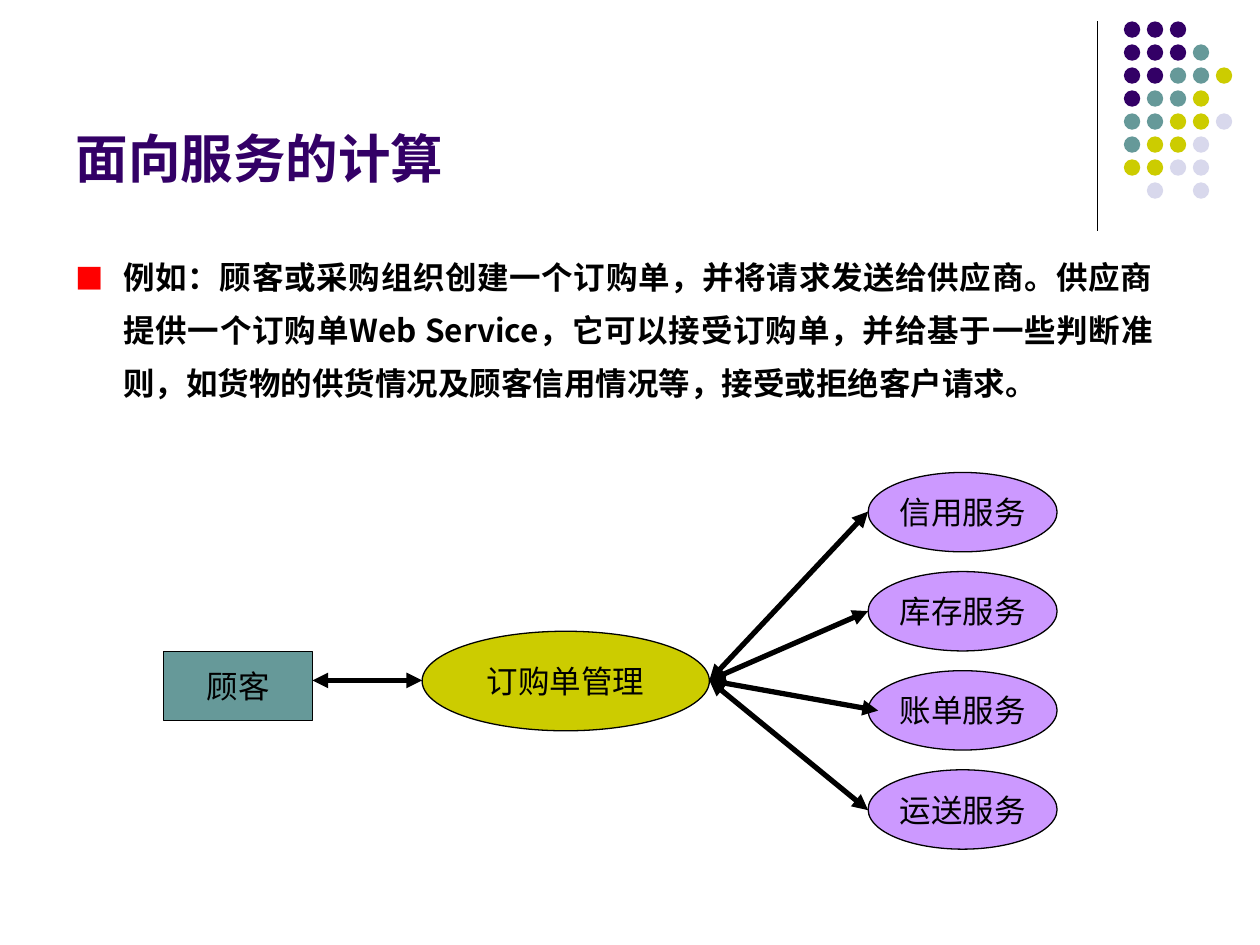
from lxml.etree import SubElement
from pptx import Presentation
from pptx.dml.color import RGBColor
from pptx.enum.shapes import MSO_CONNECTOR, MSO_SHAPE
from pptx.enum.text import MSO_ANCHOR, MSO_AUTO_SIZE, PP_ALIGN
from pptx.oxml.ns import qn
from pptx.util import Inches, Pt

COLORS = {
    "purple": "330066",
    "teal": "669999",
    "olive": "CCCC00",
    "pale": "D8D8EC",
    "lilac": "CC99FF",
    "red": "FF0000",
    "black": "000000",
}
CJK_FONT = "Noto Sans CJK SC"
DOT_COLORS = {"P": "purple", "T": "teal", "O": "olive", "L": "pale"}
DOT_ROWS = ["PPP", "PPPT", "PPTTO", "PTTO", "TTOOL", "TOOL", "OOLL", " L L"]
SERVICES = ["信用服务", "库存服务", "账单服务", "运送服务"]
BODY = (
    "例如：顾客或采购组织创建一个订购单，并将请求发送给供应商。"
    "供应商提供一个订购单Web Service，它可以接受订购单，"
    "并给基于一些判断准则，如货物的供货情况及顾客信用情况等，"
    "接受或拒绝客户请求。"
)


def rgb(name):
    return RGBColor.from_string(COLORS[name])


def write(tf, text, size=18, color="black", font="Arial", bold=False,
          align=PP_ALIGN.CENTER, anchor=MSO_ANCHOR.MIDDLE, wrap=False):
    """Fill a text frame with one formatted paragraph and return it."""
    tf.auto_size = MSO_AUTO_SIZE.NONE
    tf.word_wrap = wrap
    tf.vertical_anchor = anchor
    p = tf.paragraphs[0]
    p.alignment = align
    r = p.add_run()
    r.text = text
    r.font.name = font
    r.font.size = Pt(size)
    r.font.bold = bold
    r.font.color.rgb = rgb(color)
    SubElement(r.font._element, qn("a:ea"), typeface=CJK_FONT)
    return p


def add_bullet(p, char, color, percent, indent):
    pPr = p._p.get_or_add_pPr()
    pPr.set("marL", str(Inches(indent)))
    pPr.set("indent", str(-Inches(indent)))
    clr = SubElement(pPr, qn("a:buClr"))
    SubElement(clr, qn("a:srgbClr"), val=COLORS[color])
    SubElement(pPr, qn("a:buSzPct"), val=str(percent * 1000))
    SubElement(pPr, qn("a:buFont"), typeface=CJK_FONT)
    SubElement(pPr, qn("a:buChar"), char=char)


class SlideBuilder:
    def __init__(self, prs):
        self.s = prs.slides.add_slide(prs.slide_layouts[5])
        self.outline = Pt(0.75)
        self.arrow_width = Pt(3)

    def title(self, text, x, y, w, h):
        sp = self.s.shapes.title
        sp.left, sp.top, sp.width, sp.height = map(Inches, (x, y, w, h))
        write(sp.text_frame, text, size=30, color="purple", bold=True,
              align=PP_ALIGN.LEFT, anchor=MSO_ANCHOR.BOTTOM, wrap=True)

    def body(self, text, x, y, w, h):
        sp = self.s.shapes.add_textbox(*map(Inches, (x, y, w, h)))
        p = write(sp.text_frame, text, font=CJK_FONT, bold=True,
                  align=PP_ALIGN.JUSTIFY, anchor=MSO_ANCHOR.TOP, wrap=True)
        p.line_spacing = 1.4
        add_bullet(p, "■", "red", 90, 0.38)

    def shape(self, kind, x, y, w, h, fill, text=None, parent=None):
        """Add an outlined, labelled shape, or a plain one without text."""
        shapes = (parent or self.s).shapes
        sp = shapes.add_shape(kind, *map(Inches, (x, y, w, h)))
        sp.shadow.inherit = False
        sp.fill.solid()
        sp.fill.fore_color.rgb = rgb(fill)
        if text:
            sp.line.color.rgb = rgb("black")
            sp.line.width = self.outline
            write(sp.text_frame, text)
        else:
            sp.line.fill.background()

    def line(self, x1, y1, x2, y2, width=None):
        c = self.s.shapes.add_connector(
            MSO_CONNECTOR.STRAIGHT, *map(Inches, (x1, y1, x2, y2)))
        c.line.color.rgb = rgb("black")
        c.line.width = width or self.outline
        SubElement(c._element.spPr, qn("a:effectLst"))
        return c

    def double_arrow(self, x1, y1, x2, y2):
        c = self.line(x1, y1, x2, y2, self.arrow_width)
        ln = c.line._get_or_add_ln()
        for end in ("a:headEnd", "a:tailEnd"):
            SubElement(ln, qn(end), type="triangle")

    def dots(self, x, y, pitch, size):
        group = self.s.shapes.add_group_shape()
        for row, codes in enumerate(DOT_ROWS):
            for col, code in enumerate(codes):
                if code in DOT_COLORS:
                    self.shape(MSO_SHAPE.OVAL, x + col * pitch, y + row * pitch,
                               size, size, DOT_COLORS[code], parent=group)


def main():
    prs = Presentation()
    prs.slide_width, prs.slide_height = Inches(10), Inches(7.5)
    b = SlideBuilder(prs)

    b.line(8.71, 0.17, 8.71, 1.83)
    b.dots(8.92, 0.17, pitch=0.73 / 4, size=0.13)
    b.title("面向服务的计算", 0.5, 0.13, 8.25, 1.42)
    b.body(BODY, 0.5, 1.88, 8.75, 2.26)

    b.shape(MSO_SHAPE.RECTANGLE, 1.3, 5.17, 1.18, 0.55, "teal", "顾客")
    b.shape(MSO_SHAPE.OVAL, 3.35, 5.01, 2.28, 0.79, "olive", "订购单管理")
    service_x, service_y, service_pitch = 6.89, 3.75, 2.36 / 3
    for i, name in enumerate(SERVICES):
        b.shape(MSO_SHAPE.OVAL, service_x, service_y + i * service_pitch,
                1.5, 0.63, "lilac", name)

    b.double_arrow(2.48, 5.4, 3.35, 5.4)
    for x, y in [(6.89, 4.06), (6.89, 4.85), (6.97, 5.64), (6.89, 6.43)]:
        b.double_arrow(5.63, 5.4, x, y)

    prs.save("out.pptx")


if __name__ == "__main__":
    main()
